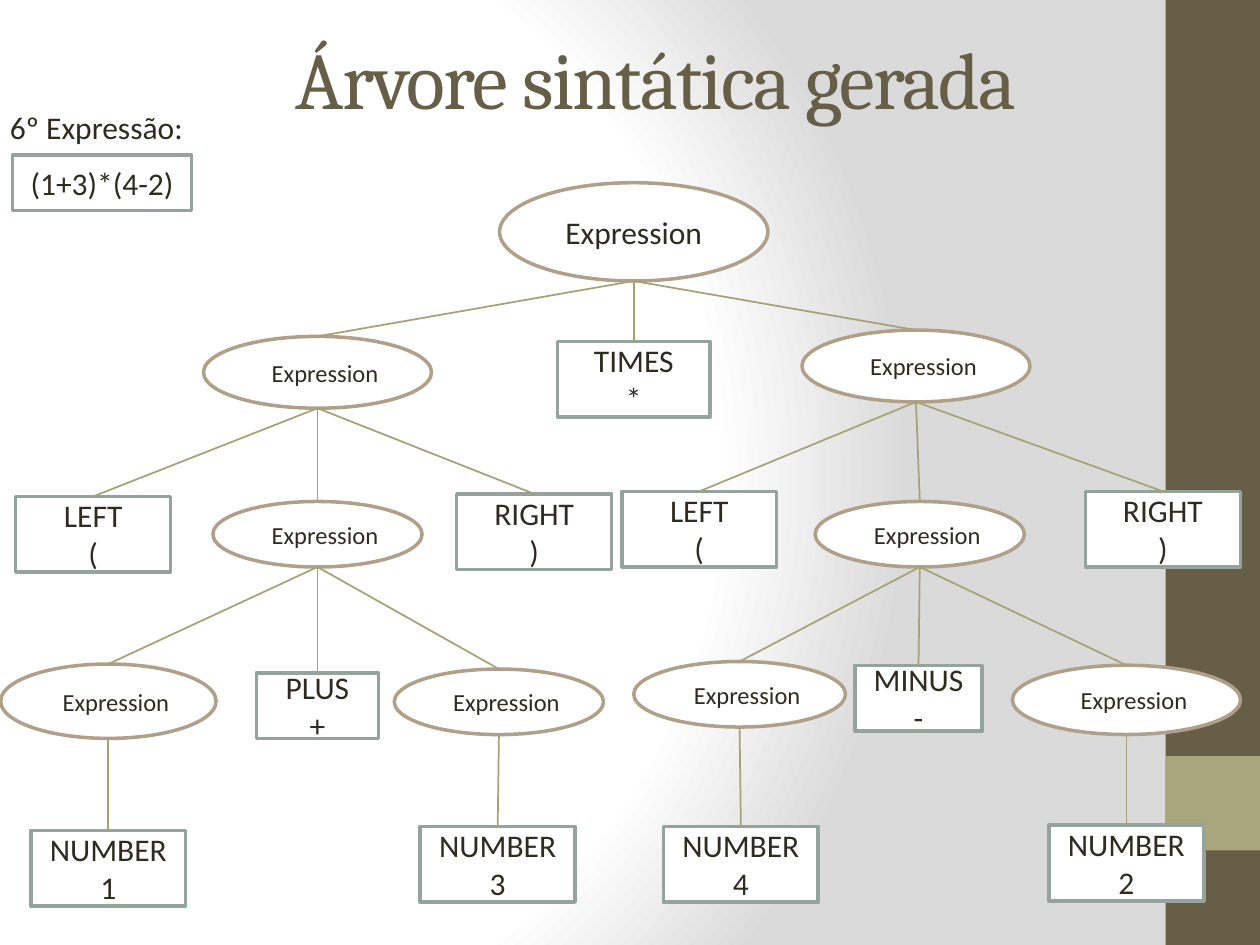
from lxml import etree
from pptx import Presentation
from pptx.dml.color import RGBColor
from pptx.enum.shapes import MSO_CONNECTOR, MSO_SHAPE
from pptx.enum.text import MSO_ANCHOR, MSO_AUTO_SIZE, PP_ALIGN
from pptx.oxml import parse_xml
from pptx.oxml.ns import nsdecls, qn
from pptx.util import Inches, Pt

RECT, ELLIPSE = MSO_SHAPE.RECTANGLE, MSO_SHAPE.OVAL
STRAIGHT = MSO_CONNECTOR.STRAIGHT
CENTER, MIDDLE = PP_ALIGN.CENTER, MSO_ANCHOR.MIDDLE
NO_AUTOFIT = MSO_AUTO_SIZE.NONE
TITLE_ONLY = 5

INK, BROWN, OLIVE, WHITE = "2F2B20", "675E47", "A9A57C", "FFFFFF"
RULE_BORDER, TOKEN_BORDER, BRANCH = "B1A089", "95A39D", "A6A278"
TOKEN_SIZE = (1.23, 0.6)
SIGN_HEIGHT = 0.52
INNER_SIZE = (1.66, 0.52)
OUTER_SIZE = (1.81, 0.57)


def color(hex_code):
    return RGBColor.from_string(hex_code)


def rule(center, top, size, children):
    return {"lines": ["Expression"], "center": center, "top": top,
            "size": size, "children": children}


def token(name, symbol, center, top, size=TOKEN_SIZE):
    return {"lines": [name, symbol], "center": center, "top": top,
            "size": size, "children": []}


# Syntax tree: centre and top of each node, relative to the tree's box
SUM = rule(2.52, 2.53, INNER_SIZE, [
    rule(0.86, 3.82, (1.71, 0.59), [token("NUMBER", "1", 0.86, 5.14)]),
    token("PLUS", "+", 2.52, 3.89, (0.97, SIGN_HEIGHT)),
    rule(3.96, 3.86, INNER_SIZE, [token("NUMBER", "3", 3.95, 5.11)]),
])
DIFFERENCE = rule(7.3, 2.53, INNER_SIZE, [
    rule(5.87, 3.8, (1.68, 0.52), [token("NUMBER", "4", 5.88, 5.11)]),
    token("MINUS", "-", 7.29, 3.83, (1.01, SIGN_HEIGHT)),
    rule(8.94, 3.83, (1.81, 0.55), [token("NUMBER", "2", 8.94, 5.1)]),
])
PRODUCT = rule(5.03, 0, (2.13, 0.78), [
    rule(2.52, 1.22, OUTER_SIZE, [
        token("LEFT", "(", 0.74, 2.49), SUM, token("RIGHT", ")", 4.24, 2.47)]),
    token("TIMES", "*", 5.03, 1.26, (1.21, 0.6)),
    rule(7.27, 1.17, OUTER_SIZE, [
        token("LEFT", "(", 5.55, 2.45), DIFFERENCE,
        token("RIGHT", ")", 9.23, 2.45)]),
])


def add_run(paragraph, text, size, font="Calibri", ink=INK):
    run = paragraph.add_run()
    run.text = text
    run.font.size = Pt(size)
    run.font.name = font
    run.font.color.rgb = color(ink)
    return run


def add_block(slide, preset, box, fill, border=None):
    block = slide.shapes.add_shape(preset, *map(Inches, box))
    block.shadow.inherit = False
    block.fill.solid()
    block.fill.fore_color.rgb = color(fill)
    if border:
        block.line.color.rgb = color(border)
        block.line.width = Pt(2)
    else:
        block.line.fill.background()
    return block


def write_lines(block, lines, size=18):
    frame = block.text_frame
    frame.word_wrap = True
    frame.vertical_anchor = MIDDLE
    for index, line in enumerate(lines):
        paragraph = frame.add_paragraph() if index else frame.paragraphs[0]
        paragraph.alignment = CENTER
        add_run(paragraph, line, size)


def add_branch(slide, start_x, start_y, child):
    branch = slide.shapes.add_connector(
        STRAIGHT, Inches(start_x), Inches(start_y), child.left, child.top)
    branch.end_connect(child, 0)
    branch.line.color.rgb = color(BRANCH)
    branch.line.width = Pt(1)
    etree.SubElement(branch._element.spPr, qn("a:effectLst"))


def add_tree(slide, node, left, top):
    """Draw a node, its subtrees and the branches to them."""
    width, height = node["size"]
    center_x, node_top = left + node["center"], top + node["top"]
    box = (center_x - width / 2, node_top, width, height)
    is_rule = bool(node["children"])
    block = add_block(slide, ELLIPSE if is_rule else RECT, box, WHITE,
                      RULE_BORDER if is_rule else TOKEN_BORDER)
    is_inner_rule = is_rule and node is not PRODUCT
    write_lines(block, node["lines"], 14 if is_inner_rule else 18)
    if is_inner_rule:
        paragraph = block.text_frame.paragraphs[0]
        paragraph.space_before = Pt(2.8)
        properties = paragraph._p.get_or_add_pPr()
        properties.set("marL", str(Inches(0.12)))
        properties.set("indent", "0")
    for child in node["children"]:
        child_block = add_tree(slide, child, left, top)
        add_branch(slide, center_x, node_top + height, child_block)
    return block


def add_background(slide):
    fill = slide.background.fill
    fill.gradient()
    gradient = slide._element.cSld.find(".//" + qn("a:gradFill"))
    stops = "".join(
        f'<a:gs pos="{percent * 1000}"><a:srgbClr val="{shade}"/></a:gs>'
        for percent, shade in ((0, WHITE), (75, WHITE), (100, "DADADA")))
    gradient.getparent().replace(gradient, parse_xml(
        f'<a:gradFill {nsdecls("a")} rotWithShape="1"><a:gsLst>{stops}</a:gsLst>'
        '<a:path path="circle"><a:fillToRect l="20000" t="50000" r="100000" '
        'b="50000"/></a:path></a:gradFill>'))


def add_side_band(slide, left, top, width, height):
    add_block(slide, RECT, (left, top, width, height), BROWN)
    add_block(slide, RECT, (left, top + 6, width, width), OLIVE)


def add_title(slide, left, top, width, height):
    title = slide.shapes.title
    title.left, title.top = Inches(left), Inches(top)
    title.width, title.height = Inches(width), Inches(height)
    frame = title.text_frame
    frame.auto_size = NO_AUTOFIT
    frame.vertical_anchor = MIDDLE
    paragraph = frame.paragraphs[0]
    paragraph.alignment = CENTER
    run = add_run(paragraph, "Árvore sintática gerada ", 46, "Cambria", BROWN)
    run.font._element.set("spc", "-100")


def add_formula(slide, left, top, width, height):
    caption = slide.shapes.add_textbox(
        Inches(left), Inches(top), Inches(width), Inches(0.4))
    caption.text_frame.word_wrap = False
    add_run(caption.text_frame.paragraphs[0], "6º Expressão:", 18)
    formula_box = (left + 0.12, top + 0.42, 1.42, height - 0.42)
    formula = add_block(slide, RECT, formula_box, WHITE, TOKEN_BORDER)
    write_lines(formula, ["(1+3)*(4-2)"])


def main():
    deck = Presentation()
    deck.slide_width, deck.slide_height = Inches(10), Inches(7.5)
    slide = deck.slides.add_slide(deck.slide_layouts[TITLE_ONLY])
    add_background(slide)
    add_side_band(slide, 9.25, 0, 0.75, 7.5)
    add_title(slide, 1.52, 0.22, 7.5, 0.79)
    add_formula(slide, -0.02, 0.81, 1.65, 0.86)
    add_tree(slide, PRODUCT, 0, 1.45)
    deck.save("out.pptx")


if __name__ == "__main__":
    main()
